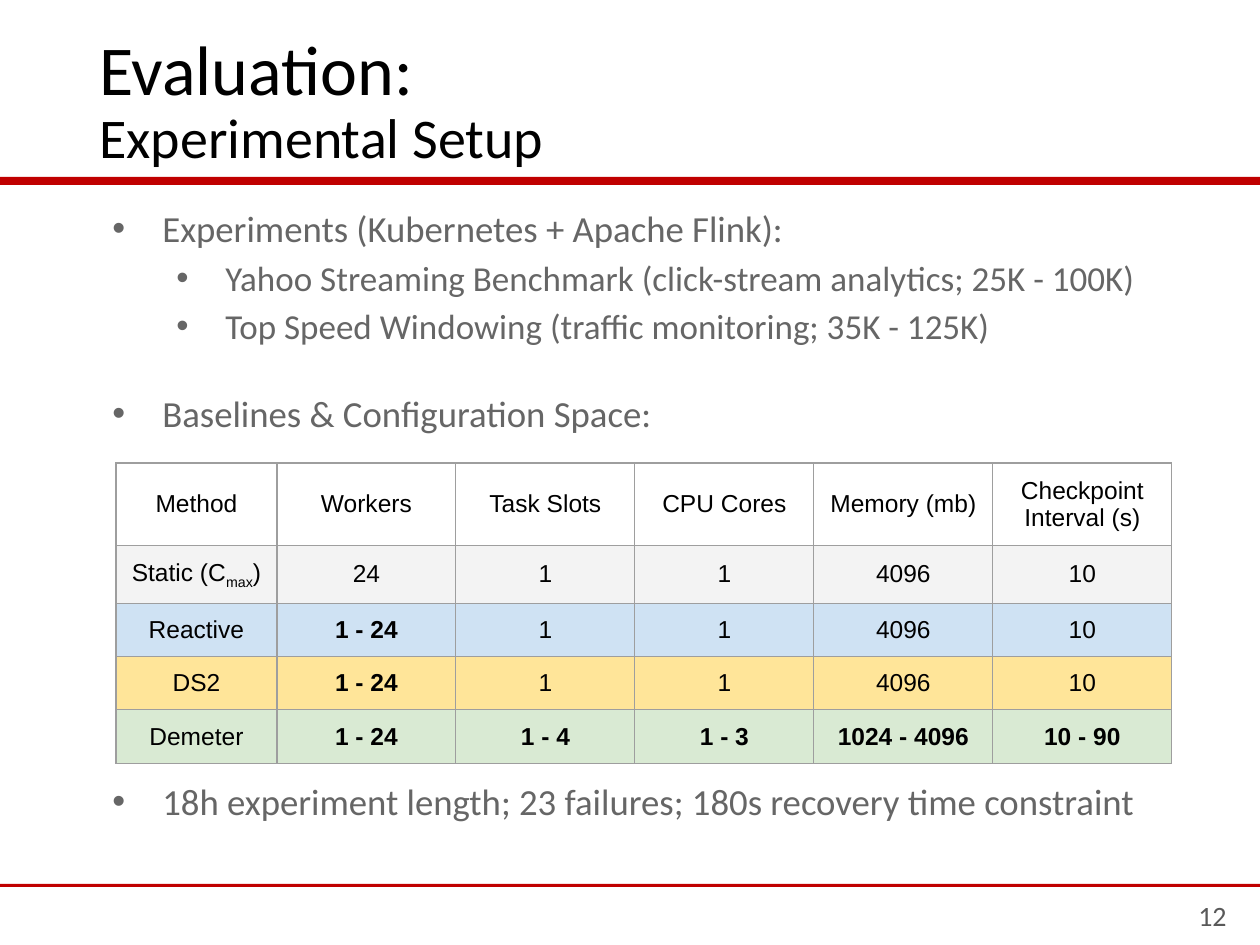
from dataclasses import dataclass

from lxml import etree
from pptx import Presentation
from pptx.dml.color import RGBColor
from pptx.enum.shapes import MSO_SHAPE
from pptx.enum.text import MSO_ANCHOR, PP_ALIGN
from pptx.oxml.ns import qn
from pptx.slide import Slide
from pptx.table import _Cell
from pptx.text.text import TextFrame, _Paragraph
from pptx.util import Emu, Pt

LEFT, CENTER, RIGHT = PP_ALIGN.LEFT, PP_ALIGN.CENTER, PP_ALIGN.RIGHT
TOP, MIDDLE = MSO_ANCHOR.TOP, MSO_ANCHOR.MIDDLE
RECTANGLE = MSO_SHAPE.RECTANGLE
PX_PER_INCH = 126
SLIDE_WIDTH, SLIDE_HEIGHT = 1260, 945


@dataclass(frozen=True)
class Theme:
    heading_font: str = "Calibri"
    table_font: str = "Arial"
    black: str = "000000"
    accent: str = "C00000"
    body: str = "666666"
    page: str = "595959"
    border: str = "9E9E9E"
    static: str = "F3F3F3"
    reactive: str = "CFE2F3"
    ds2: str = "FFE599"
    demeter: str = "D9EAD3"
    title_size: int = 40
    subtitle_size: int = 32
    bullet_sizes: tuple[int, ...] = (21, 20)
    page_size: int = 16
    table_size: int = 14
    border_width: float = 0.75


THEME = Theme()


@dataclass(frozen=True)
class Box:
    left: int
    top: int
    width: int
    height: int


@dataclass(frozen=True)
class TextRun:
    text: str
    subscript: bool = False


@dataclass(frozen=True)
class Bullet:
    text: str
    level: int = 0


@dataclass(frozen=True)
class BulletBlock:
    box: Box
    bullets: tuple[Bullet, ...]


@dataclass(frozen=True)
class MethodRow:
    method: tuple[TextRun, ...]
    values: tuple[str, ...]
    height: int
    fill: str | None = None


RULES = (Box(0, 177, SLIDE_WIDTH, 8), Box(0, 884, SLIDE_WIDTH, 3))
TITLE_BOX = Box(87, 43, 1086, 120)
PAGE_BOX = Box(1108, 892, 131, 50)
TABLE_BOX = Box(116, 463, 1057, 296)
COLUMN_WIDTHS = (161,) + (179,) * 5
BULLET_INDENTS = ((63, -50), (126, -49))
BULLET_BLOCKS = (
    BulletBlock(Box(87, 193, 1086, 219), (
        Bullet("Experiments (Kubernetes + Apache Flink):"),
        Bullet("Yahoo Streaming Benchmark (click-stream analytics; 25K - 100K)", 1),
        Bullet("Top Speed Windowing (traffic monitoring; 35K - 125K)", 1),
    )),
    BulletBlock(Box(87, 378, 1086, 86), (Bullet("Baselines & Configuration Space:"),)),
    BulletBlock(Box(87, 766, 1086, 86), (
        Bullet("18h experiment length; 23 failures; 180s recovery time constraint"),
    )),
)
METHOD_ROWS = (
    MethodRow((TextRun("Method"),),
              ("Workers", "Task Slots", "CPU Cores", "Memory (mb)", "Checkpoint Interval (s)"), 80),
    MethodRow((TextRun("Static (C"), TextRun("max", True), TextRun(")")),
              ("24", "1", "1", "4096", "10"), 57, THEME.static),
    MethodRow((TextRun("Reactive"),), ("1 - 24", "1", "1", "4096", "10"), 53, THEME.reactive),
    MethodRow((TextRun("DS2"),), ("1 - 24", "1", "1", "4096", "10"), 53, THEME.ds2),
    MethodRow((TextRun("Demeter"),),
              ("1 - 24", "1 - 4", "1 - 3", "1024 - 4096", "10 - 90"), 53, THEME.demeter),
)


def px(length: int) -> Emu:
    return Emu(round(length * 914400 / PX_PER_INCH))


def place(box: Box) -> tuple[Emu, Emu, Emu, Emu]:
    return px(box.left), px(box.top), px(box.width), px(box.height)


def add_run(paragraph: _Paragraph, content: TextRun, size: int, color: str,
            font: str = THEME.heading_font, bold: bool = False) -> None:
    run = paragraph.add_run()
    run.text = content.text
    run.font.name = font
    run.font.size = Pt(size)
    run.font.bold = bold
    run.font.color.rgb = RGBColor.from_string(color)
    if content.subscript:
        run._r.get_or_add_rPr().set("baseline", "-25000")


def add_text_frame(slide: Slide, box: Box, anchor: MSO_ANCHOR = TOP) -> TextFrame:
    frame = slide.shapes.add_textbox(*place(box)).text_frame
    frame.word_wrap = True
    frame.vertical_anchor = anchor
    return frame


def next_paragraph(frame: TextFrame, index: int) -> _Paragraph:
    return frame.add_paragraph() if index else frame.paragraphs[0]


def add_rule(slide: Slide, box: Box) -> None:
    shape = slide.shapes.add_shape(RECTANGLE, *place(box))
    shape.shadow.inherit = False
    shape.fill.solid()
    shape.fill.fore_color.rgb = RGBColor.from_string(THEME.accent)
    shape.line.fill.background()


def add_title(slide: Slide) -> None:
    frame = add_text_frame(slide, TITLE_BOX, MIDDLE)
    lines = (("Evaluation:", THEME.title_size), ("Experimental Setup", THEME.subtitle_size))
    for index, (text, size) in enumerate(lines):
        paragraph = next_paragraph(frame, index)
        paragraph.alignment = LEFT
        paragraph.line_spacing = 0.9
        add_run(paragraph, TextRun(text), size, THEME.black)


def set_bullet(paragraph: _Paragraph, level: int) -> None:
    margin, indent = BULLET_INDENTS[level]
    properties = paragraph._p.get_or_add_pPr()
    properties.set("marL", str(px(margin)))
    properties.set("indent", str(px(indent)))
    color = etree.SubElement(properties, qn("a:buClr"))
    etree.SubElement(color, qn("a:srgbClr"), val=THEME.body)
    etree.SubElement(properties, qn("a:buFont"), typeface=THEME.table_font)
    etree.SubElement(properties, qn("a:buChar"), char="•")


def add_bullets(slide: Slide, block: BulletBlock) -> None:
    frame = add_text_frame(slide, block.box)
    for index, bullet in enumerate(block.bullets):
        paragraph = next_paragraph(frame, index)
        set_bullet(paragraph, bullet.level)
        paragraph.level = bullet.level
        paragraph.line_spacing = 1.15
        add_run(paragraph, TextRun(bullet.text), THEME.bullet_sizes[bullet.level], THEME.body)


def style_cell(cell: _Cell, fill: str | None) -> None:
    cell.vertical_anchor = MIDDLE
    cell.margin_left = cell.margin_right = cell.margin_top = cell.margin_bottom = px(12)
    properties = cell._tc.get_or_add_tcPr()
    for side in ("a:lnL", "a:lnR", "a:lnT", "a:lnB"):
        line = etree.SubElement(properties, qn(side), w=str(Pt(THEME.border_width)))
        solid = etree.SubElement(line, qn("a:solidFill"))
        etree.SubElement(solid, qn("a:srgbClr"), val=THEME.border)
    if fill:
        cell.fill.solid()
        cell.fill.fore_color.rgb = RGBColor.from_string(fill)
    else:
        cell.fill.background()


def add_method_table(slide: Slide) -> None:
    table = slide.shapes.add_table(len(METHOD_ROWS), len(COLUMN_WIDTHS), *place(TABLE_BOX)).table
    table.first_row = table.horz_banding = False
    for column, width in zip(table.columns, COLUMN_WIDTHS):
        column.width = px(width)
    for row, method_row in zip(table.rows, METHOD_ROWS):
        row.height = px(method_row.height)
        contents = (method_row.method, *((TextRun(value),) for value in method_row.values))
        for cell, runs in zip(row.cells, contents):
            style_cell(cell, method_row.fill)
            paragraph = cell.text_frame.paragraphs[0]
            paragraph.alignment = CENTER
            for run in runs:
                add_run(paragraph, run, THEME.table_size, THEME.black,
                        THEME.table_font, " - " in run.text)


def add_page_number(slide: Slide) -> None:
    paragraph = add_text_frame(slide, PAGE_BOX).paragraphs[0]
    paragraph.alignment = RIGHT
    add_run(paragraph, TextRun("12"), THEME.page_size, THEME.page)


def main() -> None:
    presentation = Presentation()
    presentation.slide_width, presentation.slide_height = px(SLIDE_WIDTH), px(SLIDE_HEIGHT)
    slide = presentation.slides.add_slide(presentation.slide_layouts[6])
    for rule in RULES:
        add_rule(slide, rule)
    add_title(slide)
    add_page_number(slide)
    for block in BULLET_BLOCKS:
        add_bullets(slide, block)
    add_method_table(slide)
    presentation.save("out.pptx")


if __name__ == "__main__":
    main()
